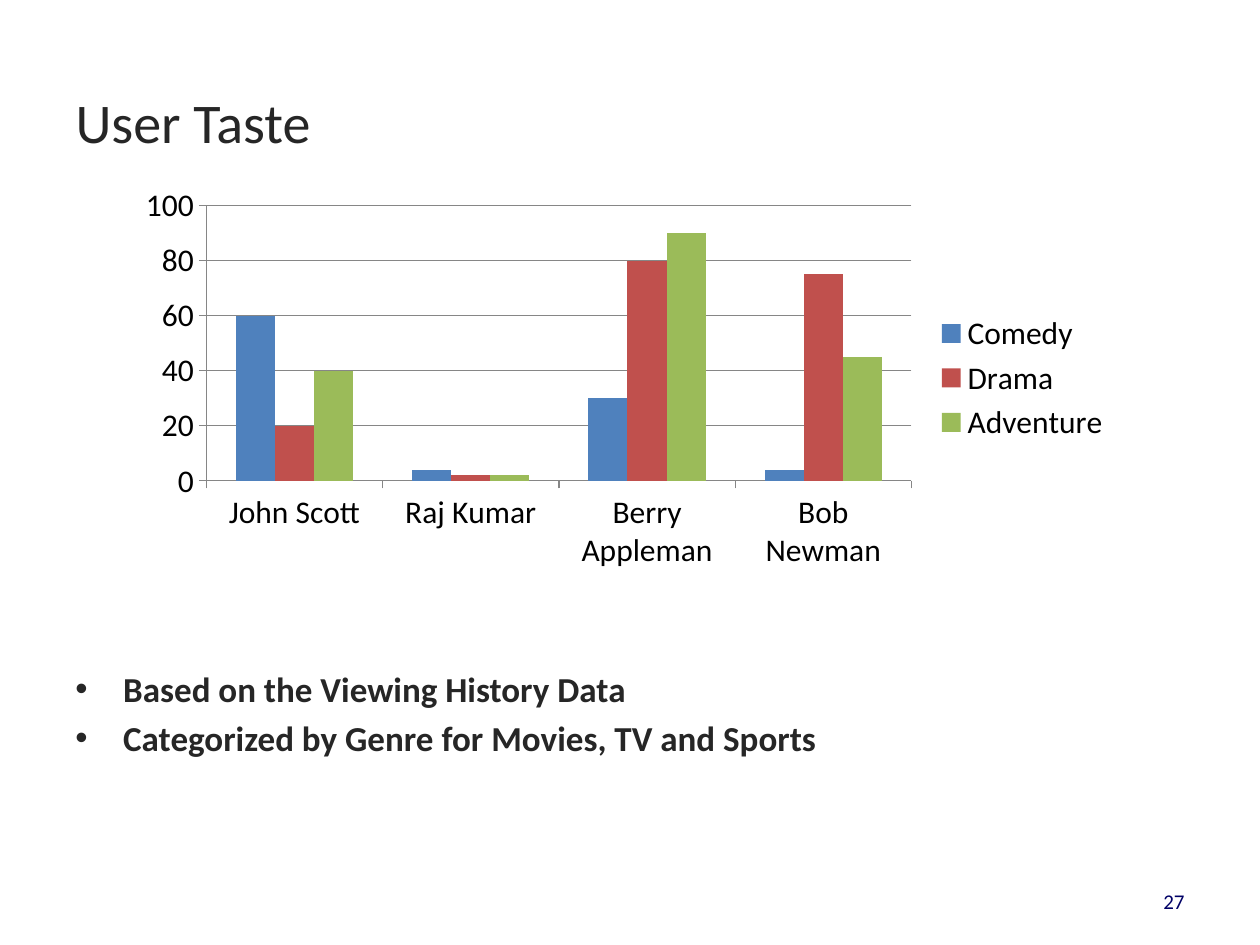
from lxml import etree
from pptx import Presentation
from pptx import util as u
from pptx.chart.data import CategoryChartData
from pptx.dml.color import RGBColor
from pptx.enum import chart as ch, text
from pptx.oxml.ns import qn

COLS, ROWS = 120, 90  # grid of the slide, in square cells


def paint(code):
    return RGBColor.from_string(code)


class Deck:
    face, ink, grey = "Calibri", "262626", "868686"

    def __init__(self, wide, high):
        self.prs = Presentation()
        self.prs.slide_width, self.prs.slide_height = u.Inches(wide), u.Inches(high)
        self.slide = self.prs.slides.add_slide(self.prs.slide_layouts[5])

    def area(self, col, row, wide, high):
        x, y = self.prs.slide_width / COLS, self.prs.slide_height / ROWS
        return [round(v) for v in (col * x, row * y, wide * x, high * y)]

    def style(self, font, size, color=None, bold=False):
        font.name, font.size, font.bold = self.face, u.Pt(size), bold
        font.color.rgb = paint(color or self.ink)

    def title(self, words, *cells):
        box = self.slide.shapes.title
        box.left, box.top, box.width, box.height = self.area(*cells)
        frame = box.text_frame
        frame.text = words
        frame.vertical_anchor = text.MSO_ANCHOR.MIDDLE
        frame.paragraphs[0].alignment = text.PP_ALIGN.LEFT
        self.style(frame.paragraphs[0].runs[0].font, 32)

    def box(self, lines, cells, size, color=None, bold=False):
        frame = self.slide.shapes.add_textbox(*self.area(*cells)).text_frame
        frame.word_wrap = True
        frame.text = "\n".join(lines)
        for para in frame.paragraphs:
            self.style(para.runs[0].font, size, color, bold)
        return frame

    def bullets(self, lines, *cells):
        frame = self.box(lines, cells, 20, bold=True)
        for num, para in enumerate(frame.paragraphs):
            para.space_before = u.Pt(4 if num else 0)
            props = para._p.get_or_add_pPr()
            dent = u.Inches(0.38)
            props.set("marL", str(dent))
            props.set("indent", str(-dent))
            etree.SubElement(props, qn("a:buFont")).set("typeface", "Arial")
            etree.SubElement(props, qn("a:buChar")).set("char", "•")

    def number(self, words, *cells):
        frame = self.box([words], cells, 12, "000066")
        frame.vertical_anchor = text.MSO_ANCHOR.MIDDLE
        frame.paragraphs[0].alignment = text.PP_ALIGN.RIGHT

    def columns(self, names, series, *cells):
        data = CategoryChartData()
        data.categories = names
        for name, vals, _ in series:
            data.add_series(name, vals)
        kind = ch.XL_CHART_TYPE.COLUMN_CLUSTERED
        chart = self.slide.shapes.add_chart(kind, *self.area(*cells), data).chart
        self.style(chart.font, 18, "000000")
        chart.has_title = False

        # Bars
        plot = chart.plots[0]
        plot.gap_width, plot.overlap, plot.vary_by_categories = 150, 0, False
        for bar, (_, _, color) in zip(plot.series, series):
            bar.format.fill.solid()
            bar.format.fill.fore_color.rgb = paint(color)

        # Axes and gridlines
        value = chart.value_axis
        value.minimum_scale, value.maximum_scale, value.major_unit = 0, 100, 20
        value.has_major_gridlines = True
        for part in (value, chart.category_axis, value.major_gridlines):
            part.format.line.color.rgb = paint(self.grey)
            part.format.line.width = u.Pt(0.75)
        for axis in (value, chart.category_axis):
            axis.major_tick_mark = ch.XL_TICK_MARK.OUTSIDE

        # Legend
        chart.has_legend = True
        chart.legend.position = ch.XL_LEGEND_POSITION.RIGHT
        chart.legend.include_in_layout = False


def main():
    deck = Deck(10, 7.5)
    deck.title("User Taste", 6, 4, 108, 15)
    deck.columns(
        ["John Scott", "Raj Kumar", "Berry Appleman", "Bob Newman"],
        [("Comedy", (60, 4, 30, 4), "4F81BD"),
         ("Drama", (20, 2, 80, 75), "C0504D"),
         ("Adventure", (40, 2, 90, 45), "9BBB59")],
        12, 17, 95, 38)
    deck.bullets(["Based on the Viewing History Data",
                  "Categorized by Genre for Movies, TV and Sports"], 6, 63, 108, 16)
    deck.number("27", 86, 83.4, 28, 4.8)
    deck.prs.save("out.pptx")


if __name__ == "__main__":
    main()
